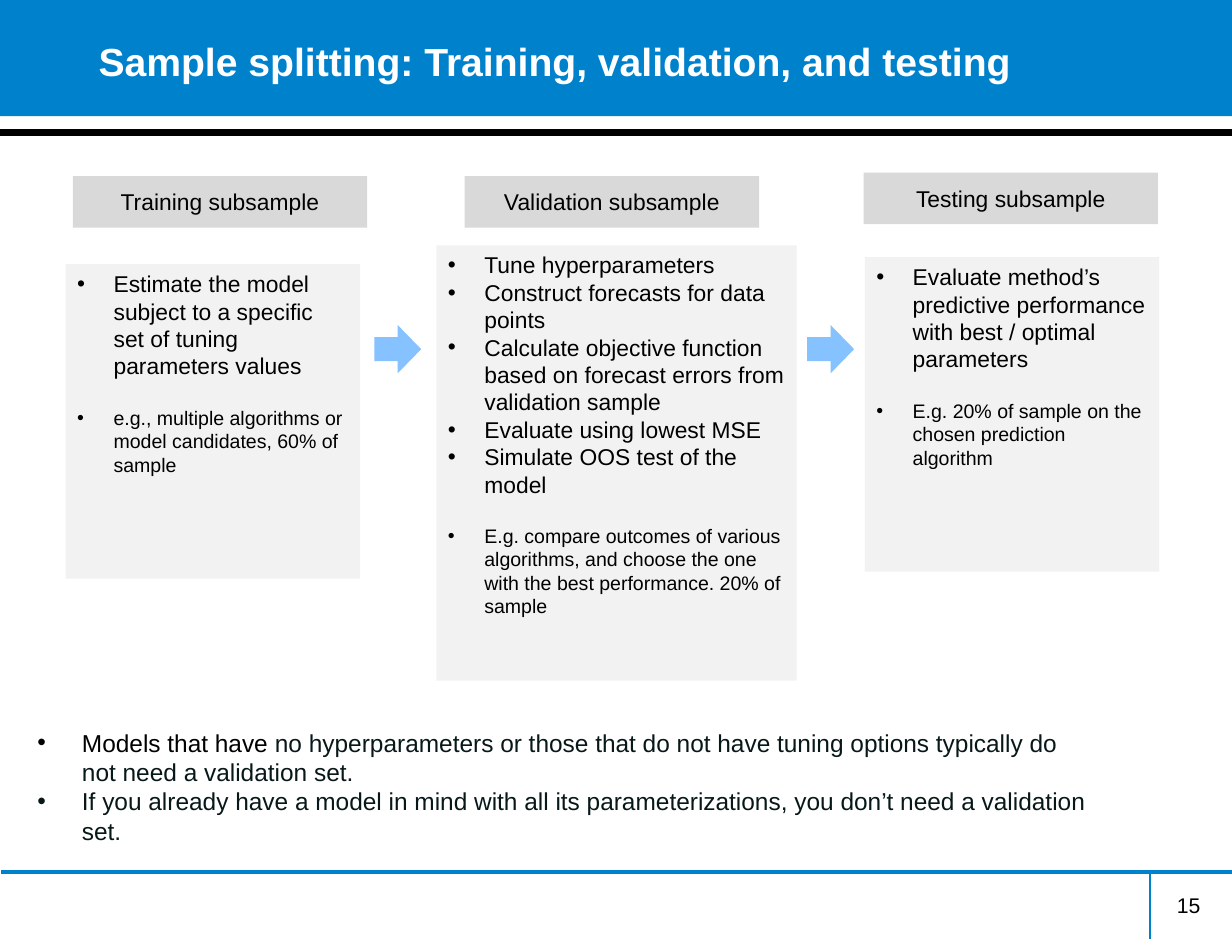
from dataclasses import dataclass

import pptx
import pptx.dml.color
import pptx.enum.shapes
import pptx.enum.text
import pptx.oxml.ns
import pptx.util
from lxml import etree

Inches = pptx.util.Inches
Pt = pptx.util.Pt
RGBColor = pptx.dml.color.RGBColor
MSO_SHAPE = pptx.enum.shapes.MSO_SHAPE
MSO_ANCHOR = pptx.enum.text.MSO_ANCHOR
PP_ALIGN = pptx.enum.text.PP_ALIGN
qn = pptx.oxml.ns.qn

BLUE = RGBColor(0x00, 0x81, 0xCC)
LIGHT_BLUE = RGBColor(0x85, 0xC2, 0xFF)
BLACK = RGBColor(0x00, 0x00, 0x00)
WHITE = RGBColor(0xFF, 0xFF, 0xFF)
INK = RGBColor(0x08, 0x18, 0x19)
GREY = RGBColor(0xD9, 0xD9, 0xD9)
PALE_GREY = RGBColor(0xF2, 0xF2, 0xF2)
FONT = "Arial"


@dataclass
class Box:
    left: float
    top: float
    width: float
    height: float

    def lengths(self) -> list:
        return [Inches(v) for v in (self.left, self.top, self.width, self.height)]


@dataclass
class Stage:
    title: str
    header: Box
    body: Box
    steps: list[str]
    example: str


@dataclass
class Rule:
    start: tuple[float, float]
    end: tuple[float, float]
    color: RGBColor
    weight: float


STAGES = [
    Stage("Training subsample", Box(0.62, 1.5, 2.51, 0.44), Box(0.56, 2.25, 2.51, 2.68),
          ["Estimate the model subject to a specific set of tuning parameters values"],
          "e.g., multiple algorithms or model candidates, 60% of sample"),
    Stage("Validation subsample", Box(3.96, 1.5, 2.51, 0.44), Box(3.72, 2.09, 3.07, 3.71),
          ["Tune hyperparameters",
           "Construct forecasts for data points",
           "Calculate objective function based on forecast errors from validation sample",
           "Evaluate using lowest MSE",
           "Simulate OOS test of the model"],
          "E.g. compare outcomes of various algorithms, and choose the one "
          "with the best performance. 20% of sample"),
    Stage("Testing subsample", Box(7.36, 1.47, 2.51, 0.44), Box(7.37, 2.19, 2.51, 2.68),
          ["Evaluate method’s predictive performance with best / optimal parameters"],
          "E.g. 20% of sample on the chosen prediction algorithm"),
]

RULES = [
    Rule((0, 1.13), (10.5, 1.13), BLACK, 4),
    Rule((0.01, 7.43), (10.5, 7.43), BLUE, 2),
    Rule((9.8, 7.43), (9.8, 8), BLUE, 1),
]

NOTES = [
    [("Models that have ", BLACK),
     ("no hyperparameters or those that do not have tuning options "
      "typically do not need a validation set.", INK)],
    [("If you already have a model in mind with all its parameterizations, "
      "you don’t need a validation set.", INK)],
]


def add_block(s, kind: MSO_SHAPE, box: Box, color: RGBColor):
    sp = s.shapes.add_shape(kind, *box.lengths())
    sp.shadow.inherit = False
    sp.fill.solid()
    sp.fill.fore_color.rgb = color
    sp.line.fill.background()
    return sp


def add_rule(s, rule: Rule) -> None:
    points = [Inches(v) for v in (*rule.start, *rule.end)]
    line = s.shapes.add_connector(pptx.enum.shapes.MSO_CONNECTOR.STRAIGHT, *points)
    line.line.color.rgb = rule.color
    line.line.width = Pt(rule.weight)
    etree.SubElement(line._element.spPr, qn("a:effectLst"))


def add_text_box(s, box: Box, anchor: MSO_ANCHOR, margin: float = 0.1):
    tf = s.shapes.add_textbox(*box.lengths()).text_frame
    tf.word_wrap = True
    tf.vertical_anchor = anchor
    tf.margin_left = tf.margin_right = Inches(margin)
    return tf


def style(p, size: float, color: RGBColor, align: PP_ALIGN = PP_ALIGN.LEFT) -> None:
    p.font.name = FONT
    p.font.size = Pt(size)
    p.font.color.rgb = color
    p.alignment = align


def add_bullet(p, indent: float) -> None:
    pPr = p._p.get_or_add_pPr()
    pPr.set("marL", str(Inches(indent)))
    pPr.set("indent", str(Inches(-indent)))
    bullet_font = etree.Element(qn("a:buFont"), typeface=FONT)
    bullet = etree.Element(qn("a:buChar"), char="•")
    defaults = pPr.find(qn("a:defRPr"))
    defaults.addprevious(bullet_font)
    defaults.addprevious(bullet)


def add_stage(s, stage: Stage) -> None:
    header = add_block(s, MSO_SHAPE.RECTANGLE, stage.header, GREY)
    header.text_frame.text = stage.title
    style(header.text_frame.paragraphs[0], 14, BLACK, PP_ALIGN.CENTER)

    tf = add_block(s, MSO_SHAPE.RECTANGLE, stage.body, PALE_GREY).text_frame
    tf.vertical_anchor = MSO_ANCHOR.TOP
    tf.text = "\n".join([*stage.steps, stage.example])
    *steps, example = tf.paragraphs
    for p in steps:
        style(p, 14, BLACK)
        add_bullet(p, 0.31)
    style(example, 12, BLACK)
    example.space_before = Pt(16)
    add_bullet(example, 0.31)


def add_notes(s) -> None:
    tf = add_text_box(s, Box(0.22, 6.15, 9.18, 1.11), MSO_ANCHOR.TOP)
    for i, runs in enumerate(NOTES):
        p = tf.add_paragraph() if i else tf.paragraphs[0]
        style(p, 15, runs[0][1])
        add_bullet(p, 0.38)
        for text, color in runs:
            r = p.add_run()
            r.text = text
            r.font.color.rgb = color


def main() -> None:
    prs = pptx.Presentation()
    prs.slide_width = Inches(10.5)
    prs.slide_height = Inches(8)
    s = prs.slides.add_slide(prs.slide_layouts[6])

    add_block(s, MSO_SHAPE.RECTANGLE, Box(0, 0, 10.5, 0.99), BLUE)
    for rule in RULES:
        add_rule(s, rule)

    title = add_text_box(s, Box(0.73, -0.15, 9.45, 1.33), MSO_ANCHOR.MIDDLE, 0.11)
    title.text = "Sample splitting: Training, validation, and testing"
    style(title.paragraphs[0], 24, WHITE)
    title.paragraphs[0].font.bold = True

    number = add_text_box(s, Box(7.89, 7.55, 2.45, 0.56), MSO_ANCHOR.TOP, 0.11)
    number.text = "15"
    style(number.paragraphs[0], 13, BLACK, PP_ALIGN.RIGHT)

    for stage in STAGES:
        add_stage(s, stage)
    for left in (3.19, 6.88):
        add_block(s, MSO_SHAPE.RIGHT_ARROW, Box(left, 2.77, 0.4, 0.41), LIGHT_BLUE)
    add_notes(s)

    prs.save("out.pptx")


if __name__ == "__main__":
    main()
